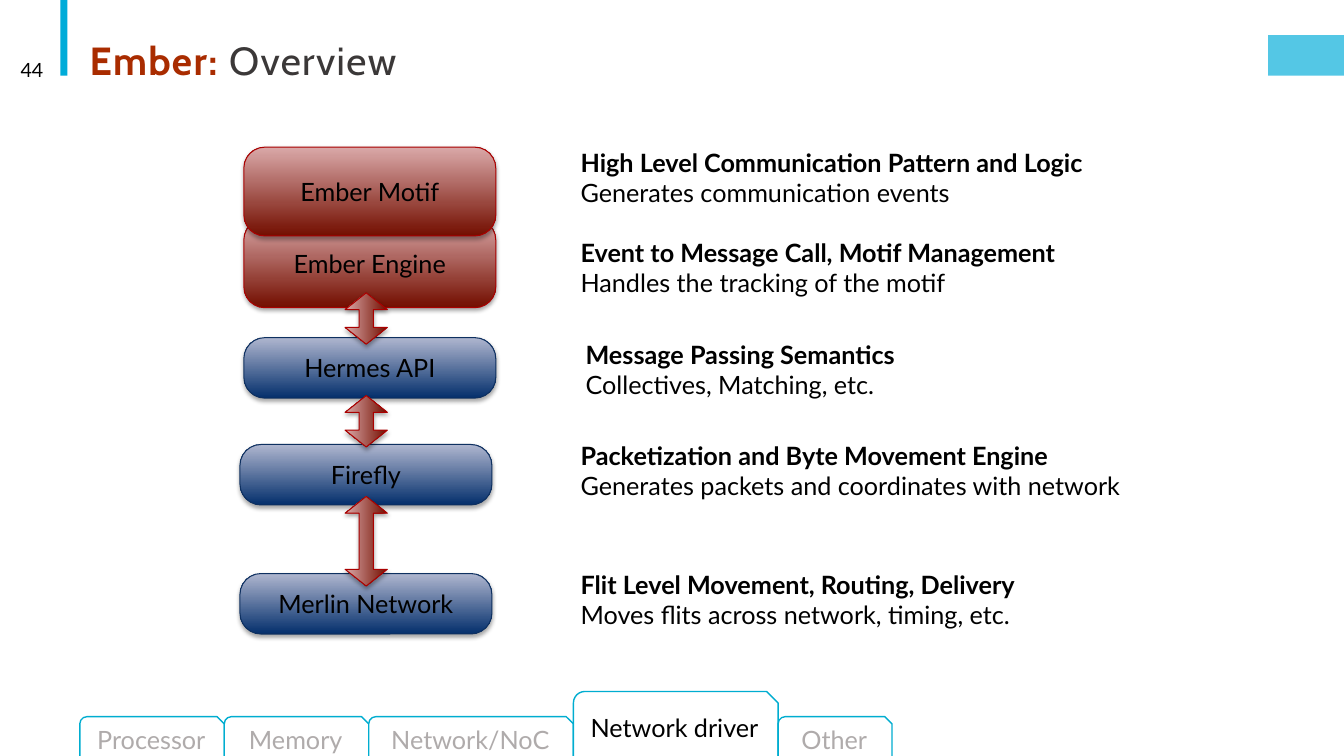
"""Builds the Ember overview slide: a layered stack, its descriptions and section tabs."""
import pptx
import pptx.util
import pptx.dml.color
import pptx.enum.shapes
import pptx.enum.text
import pptx.oxml
import pptx.oxml.ns

Pt = pptx.util.Pt
Rgb = pptx.dml.color.RGBColor.from_string
Kind = pptx.enum.shapes.MSO_SHAPE
Align = pptx.enum.text.PP_ALIGN
Anchor = pptx.enum.text.MSO_ANCHOR

COLOURS = {
    "accent": "00ACD9", "tab": "00ADD0", "white": "FFFFFF", "black": "000000",
    "muted": "AFABAB", "rust": "A92C00", "charcoal": "3B3838",
    "red dark": "730E00", "red light": "DAA9A9", "red line": "AA0000",
    "blue dark": "042F6C", "blue light": "AFB6CF", "blue line": "0E3060",
}
SHADOW = (
    '<a:outerShdw %s blurRad="38100" dist="22860" dir="5400000" rotWithShape="0">'
    '<a:srgbClr val="000000"><a:alpha val="35000"/></a:srgbClr></a:outerShdw>'
    % pptx.oxml.ns.nsdecls("a")
)

deck = pptx.Presentation()
deck.slide_width, deck.slide_height = Pt(960), Pt(540)
page = deck.slides.add_slide(deck.slide_layouts[6])


def write(box, text, new=False, size=18, font="Lato", colour="black", bold=False,
          align=Align.LEFT, anchor=Anchor.TOP, inset=None, line_spacing=None, tracking=None):
    """Add a run to the box, in a new paragraph if asked."""
    frame = box.text_frame
    frame.word_wrap = True
    frame.vertical_anchor = anchor
    if inset is not None:
        frame.margin_left = frame.margin_right = Pt(inset)
        frame.margin_top = frame.margin_bottom = Pt(inset)
    para = frame.add_paragraph() if new else frame.paragraphs[-1]
    para.alignment = align
    para.line_spacing = line_spacing
    span = para.add_run()
    span.text = text
    span.font.size, span.font.name, span.font.bold = Pt(size), font, bold
    span.font.color.rgb = Rgb(COLOURS[colour])
    if tracking:
        span.font._element.set("spc", str(tracking * 100))


def draw(kind, left, top, width, height, fill=None, line=None, glossy=None, adjust=()):
    """Add a flat shape, or a shaded one in the glossy hue."""
    box = page.shapes.add_shape(kind, Pt(left), Pt(top), Pt(width), Pt(height))
    box.shadow.inherit = False
    for index, value in enumerate(adjust):
        box.adjustments[index] = value
    if glossy:
        box.fill.gradient()
        box.fill.gradient_angle = 90
        for stop, shade in zip(box.fill.gradient_stops, ("dark", "light")):
            stop.color.rgb = Rgb(COLOURS[f"{glossy} {shade}"])
        effects = box._element.spPr.find(pptx.oxml.ns.qn("a:effectLst"))
        effects.append(pptx.oxml.parse_xml(SHADOW))
        line = f"{glossy} line"
    else:
        box.fill.solid()
        box.fill.fore_color.rgb = Rgb(COLOURS[fill])
    if line:
        box.line.color.rgb = Rgb(COLOURS[line])
        box.line.width = Pt(0.75 if glossy else 1)
    else:
        box.line.fill.background()
    return box


draw(Kind.RECTANGLE, 43.2, 0, 5, 54, fill="accent")
corner = draw(Kind.RECTANGLE, 905.8, 25.2, 54.2, 28.8, fill="accent")
tint = corner.fill._xPr.find(".//" + pptx.oxml.ns.qn("a:srgbClr"))
tint.append(pptx.oxml.parse_xml('<a:alpha %s val="67000"/>' % pptx.oxml.ns.nsdecls("a")))

title = page.shapes.add_textbox(Pt(57), Pt(18.7), Pt(792), Pt(44.6))
heading = dict(size=28, font="Cabin", anchor=Anchor.BOTTOM, line_spacing=0.85, tracking=1)
write(title, "Ember: ", colour="rust", bold=True, **heading)
write(title, "Overview", colour="charcoal", **heading)

number = page.shapes.add_textbox(Pt(5), Pt(35.3), Pt(33.1), Pt(28.8))
write(number, "44", size=14, align=Align.RIGHT, anchor=Anchor.MIDDLE)

layers = [
    ("Ember Engine", 174.2, 156.4, 63.4, "red", 3.6),
    ("Hermes API", 174.2, 241.2, 43.2, "blue", 3.6),
    ("Firefly", 171.4, 317.5, 43.2, "blue", 3.6),
    ("Merlin Network", 171.4, 409.7, 43.2, "blue", 3.6),
    ("Ember Motif", 174.2, 105.1, 63.4, "red", 0),
]
for name, left, top, height, hue, inset in layers:
    layer = draw(Kind.ROUNDED_RECTANGLE, left, top, 180, height, glossy=hue, adjust=[15 / height])
    write(layer, name, align=Align.CENTER, anchor=Anchor.MIDDLE, inset=inset)

for middle, length in [(227.5, 36.7), (300.9, 36.7), (386.6, 64)]:
    arrow = draw(Kind.LEFT_RIGHT_ARROW, 261.6 - length / 2, middle - 15.1, length, 30.2,
                 glossy="red", adjust=[0.34, 0.397])
    arrow.rotation = 270

descriptions = [
    ("High Level Communication Pattern and Logic", "Generates communication events", 105.1, 381, 0),
    ("Event to Message Call, Motif Management", "Handles the tracking of the motif", 169.4, 350, 0),
    ("Message Passing Semantics", "Collectives, Matching, etc.", 239, 233.3, 3.6),
    ("Packetization and Byte Movement Engine",
     "Generates packets and coordinates with network", 314.6, 399.6, 0),
    ("Flit Level Movement, Routing, Delivery",
     "Moves flits across network, timing, etc.", 406.8, 332.6, 0),
]
for role, detail, top, width, inset in descriptions:
    note = page.shapes.add_textbox(Pt(414.7), Pt(top), Pt(width), Pt(43.9 + 2 * inset))
    write(note, role, bold=True, inset=inset)
    write(note, detail, new=True, inset=inset)

tab_left = 57
for name, width in [("Processor", 103.2), ("Memory", 103.2), ("Network/NoC", 146.2),
                    ("Network driver", 146.2), ("Other", 81.4)]:
    current = name == "Network driver"
    top = 493.9 if current else 511.9
    tab = draw(Kind.SNIP_ROUND_RECTANGLE, tab_left, top, width, 542.9 - top,
               fill="white", line="tab")
    write(tab, name, colour="black" if current else "muted",
          align=Align.CENTER, anchor=Anchor.MIDDLE)
    tab_left += width

deck.save("out.pptx")
